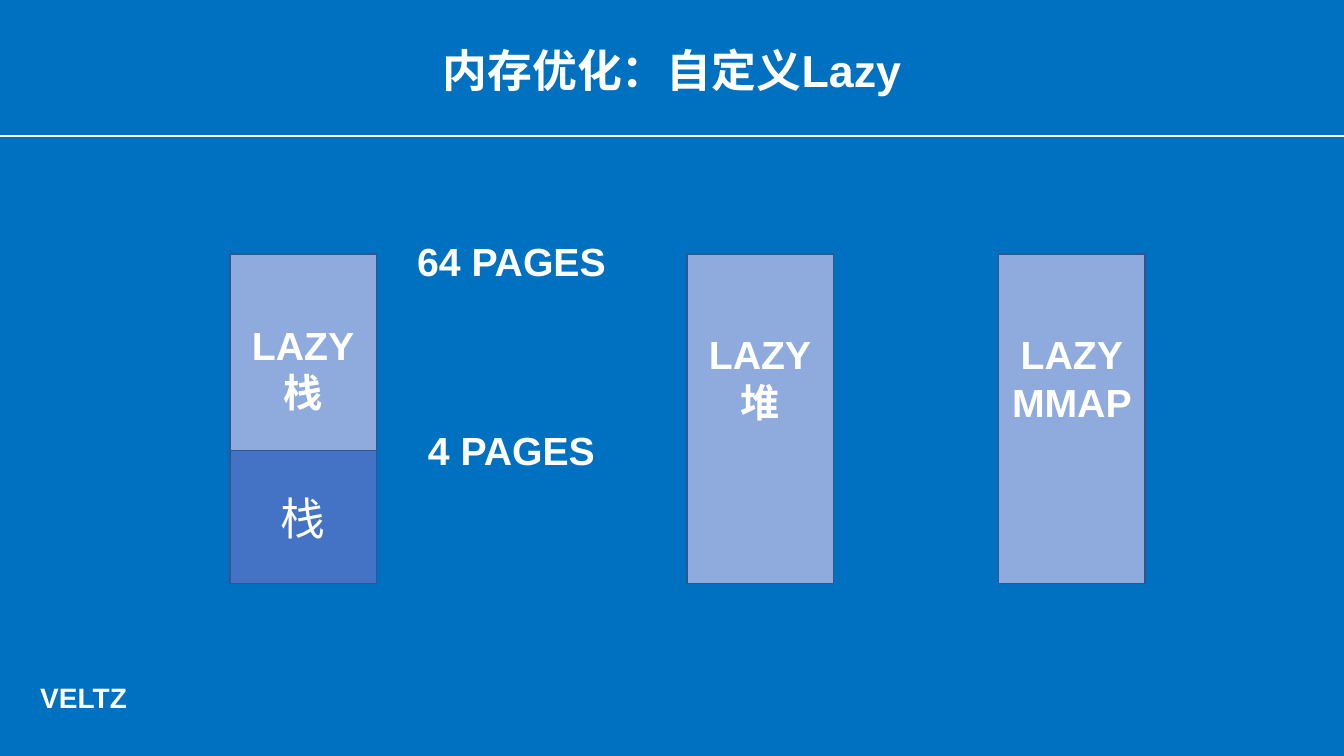
from dataclasses import dataclass

from lxml import etree
from pptx import Presentation
from pptx.dml.color import RGBColor
from pptx.enum.shapes import MSO_CONNECTOR, MSO_SHAPE
from pptx.enum.text import MSO_ANCHOR, PP_ALIGN
from pptx.oxml.ns import qn
from pptx.util import Inches, Pt

LEFT, CENTER = PP_ALIGN.LEFT, PP_ALIGN.CENTER
TOP, MIDDLE, BOTTOM = MSO_ANCHOR.TOP, MSO_ANCHOR.MIDDLE, MSO_ANCHOR.BOTTOM
RECT, STRAIGHT = MSO_SHAPE.RECTANGLE, MSO_CONNECTOR.STRAIGHT

WIDE, HIGH = Inches(13.33), Inches(7.5)
FONT = "Arial"
BLUE, WHITE = "0070C0", "FFFFFF"
PALE, DARK, EDGE = "8FAADC", "4472C4", "325491"

# Shares of the slide, in percent
BAR_W, BAR_TOP, BAR_H = 10.9, 33.6, 43.6
STACK_X, STACK_H = 17.1, 17.6
LABEL_W, ROW_H = 20.1, 7.6
PAGE_X = STACK_X + BAR_W
RULE_Y = 18


@dataclass
class Area:
    x: float
    y: float
    w: float
    h: float

    def box(self) -> tuple[int, int, int, int]:
        return across(self.x), down(self.y), across(self.w), down(self.h)


@dataclass
class Bar:
    x: float
    text: str
    text_y: float


@dataclass
class Label:
    text: str
    area: Area
    size: int = 28
    align: PP_ALIGN = CENTER
    anchor: MSO_ANCHOR = TOP
    space: float = 1.0


def across(share: float) -> int:
    return round(WIDE * share / 100)


def down(share: float) -> int:
    return round(HIGH * share / 100)


def color(code: str) -> RGBColor:
    return RGBColor.from_string(code)


def write(shape, label: Label, bold: bool = True) -> None:
    frame = shape.text_frame
    frame.word_wrap = True
    frame.vertical_anchor = label.anchor
    frame.text = label.text
    for para in frame.paragraphs:
        para.alignment = label.align
        para.line_spacing = label.space
        for run in para.runs:
            run.font.name = FONT
            run.font.size = Pt(label.size)
            run.font.bold = bold
            run.font.color.rgb = color(WHITE)


def add_label(slide, label: Label) -> None:
    write(slide.shapes.add_textbox(*label.area.box()), label)


def add_block(slide, area: Area, fill: str):
    block = slide.shapes.add_shape(RECT, *area.box())
    block.shadow.inherit = False
    block.fill.solid()
    block.fill.fore_color.rgb = color(fill)
    block.line.color.rgb = color(EDGE)
    block.line.width = Pt(1)
    return block


def add_rule(slide, y: float) -> None:
    rule = slide.shapes.add_connector(STRAIGHT, 0, down(y), WIDE, down(y))
    rule.line.color.rgb = color(WHITE)
    rule.line.width = Pt(1.5)
    etree.SubElement(rule.element.spPr, qn("a:effectLst"))


BARS = [
    Bar(STACK_X, "LAZY\n栈", 41.9),
    Bar(51.1, "LAZY\n堆", 43.1),
    Bar(74.3, "LAZY\nMMAP", 43.1),
]
LABELS = [
    Label("内存优化：自定义Lazy", Area(13.3, 4.8, 73.4, 8.7), 32, anchor=BOTTOM, space=0.9),
    Label("VELTZ", Area(2.25, 89.3, 14.9, 5.9), 20, LEFT),
    Label("64 PAGES", Area(PAGE_X, 30.8, LABEL_W, ROW_H)),
    Label("4 PAGES", Area(PAGE_X, 55.7, LABEL_W, ROW_H)),
]


def main() -> None:
    deck = Presentation()
    deck.slide_width, deck.slide_height = WIDE, HIGH
    slide = deck.slides.add_slide(deck.slide_layouts[6])
    slide.background.fill.solid()
    slide.background.fill.fore_color.rgb = color(BLUE)

    # Heading, footer and page counts
    add_rule(slide, RULE_Y)
    for label in LABELS:
        add_label(slide, label)

    # Lazy regions, each with its label centred on the bar
    for bar in BARS:
        add_block(slide, Area(bar.x, BAR_TOP, BAR_W, BAR_H), PALE)
        text_x = bar.x + (BAR_W - LABEL_W) / 2
        add_label(slide, Label(bar.text, Area(text_x, bar.text_y, LABEL_W, 13.9)))

    # Allocated part at the foot of the stack
    area = Area(STACK_X, BAR_TOP + BAR_H - STACK_H, BAR_W, STACK_H)
    stack = add_block(slide, area, DARK)
    write(stack, Label("栈", area, 32, anchor=MIDDLE), bold=False)

    deck.save("out.pptx")


if __name__ == "__main__":
    main()
